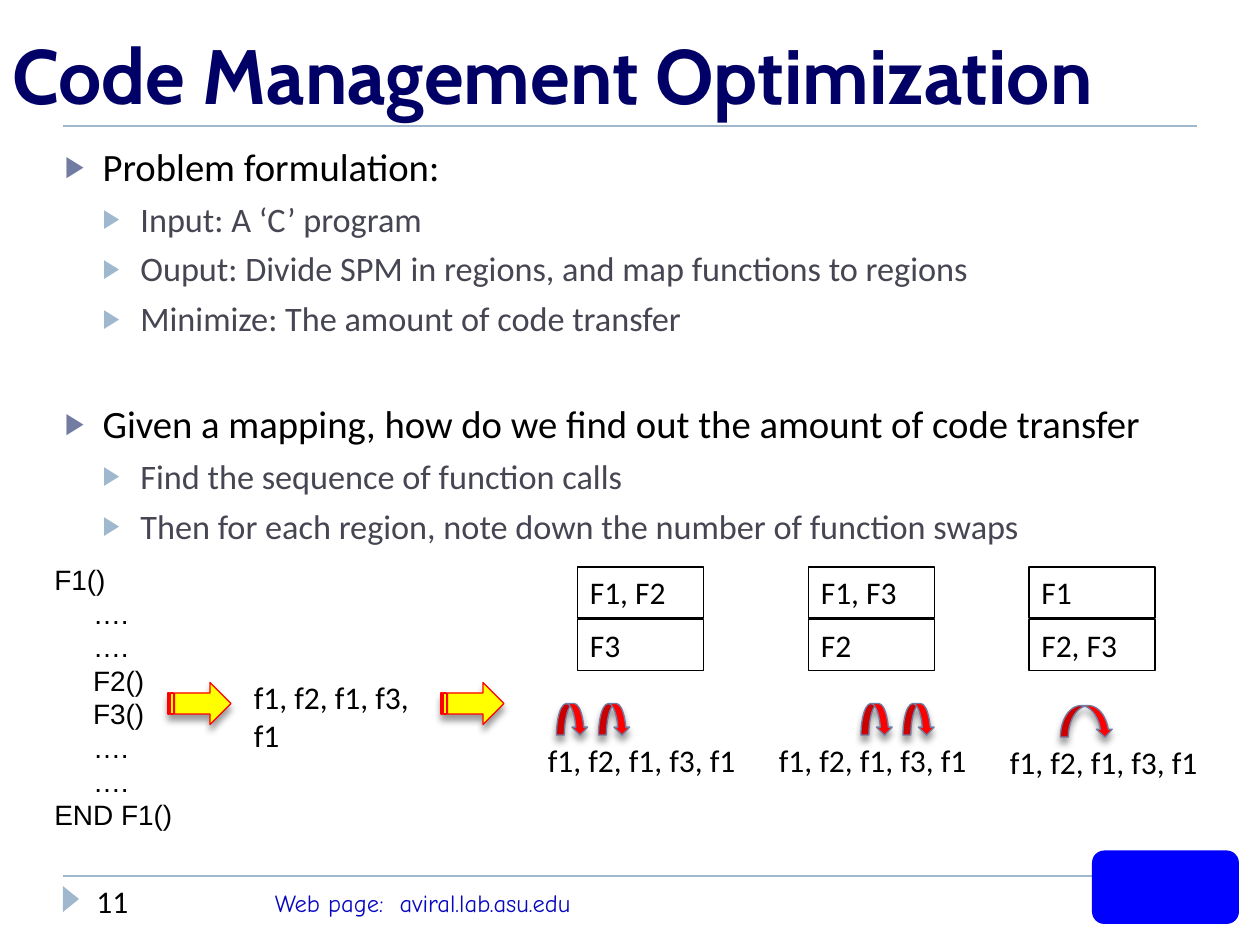
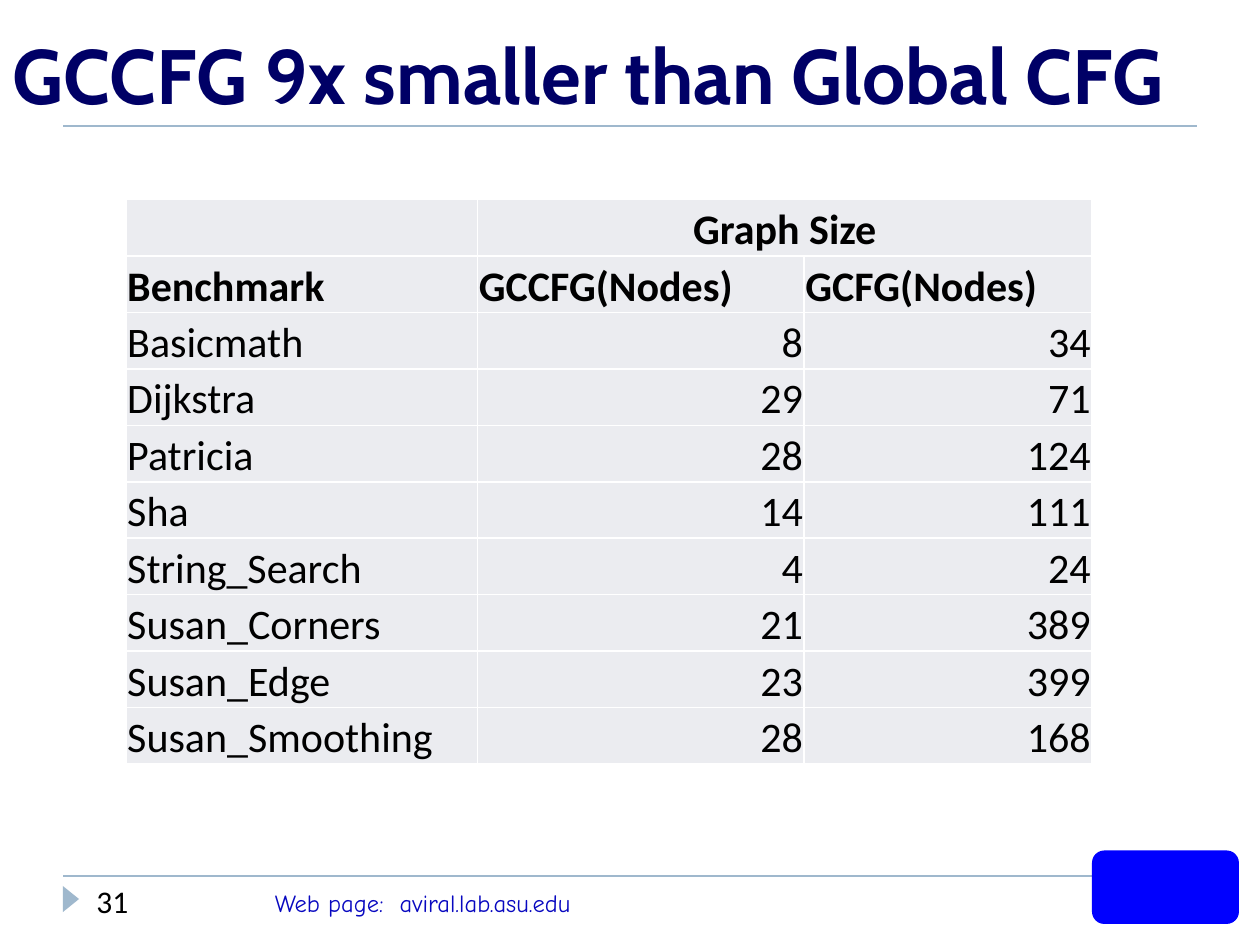
"""Build two slides on code management: the mapping problem and the graph size table."""
from lxml import etree
from pptx import Presentation
from pptx import util as u
from pptx.dml.color import RGBColor
from pptx.enum import shapes, text
from pptx.oxml import ns

NAVY = RGBColor(0x00, 0x00, 0x66)
LINK = RGBColor(0x08, 0x08, 0xC0)
BLUE = RGBColor(0x00, 0x00, 0xFF)
SKY = RGBColor(0x9F, 0xB8, 0xCD)
SLATE = RGBColor(0x72, 0x7C, 0xA3)
GREY = RGBColor(0x46, 0x46, 0x53)
PALE = RGBColor(0xEB, 0xEC, 0xF0)
BLACK = RGBColor(0, 0, 0)
WHITE = RGBColor(0xFF, 0xFF, 0xFF)
RED = RGBColor(0xFF, 0, 0)
YELLOW = RGBColor(0xFF, 0xFF, 0)

COLUMNS, ROWS = 120, 90
UNIT = u.Inches(10) / COLUMNS
LEFT, CENTER, RIGHT = text.PP_ALIGN.LEFT, text.PP_ALIGN.CENTER, text.PP_ALIGN.RIGHT

BULLETS = [
    (0, "Problem formulation:", 0),
    (1, "Input: A ‘C’ program", 5),
    (1, "Ouput: Divide SPM in regions, and map functions to regions", 5),
    (1, "Minimize: The amount of code transfer", 5),
    (0, "Given a mapping, how do we find out the amount of code transfer", 35),
    (1, "Find the sequence of function calls", 5),
    (1, "Then for each region, note down the number of function swaps", 5),
]
LEVELS = [(22.1, BLACK, SLATE), (19.6, GREY, SKY)]
CODE = ["F1()", "     ….", "     ….", "     F2()", "     F3()", "     ….", "     ….", "END F1()"]
CALLS = "f1, f2, f1, f3, f1"
MAPPINGS = [
    {"regions": ["F1, F2", "F3"], "left": 55, "calls": (51, 70), "swaps": [(53, 3), (57, 3)]},
    {"regions": ["F1, F3", "F2"], "left": 77, "calls": (73, 70), "swaps": [(82, 3), (86, 3)]},
    {"regions": ["F1", "F2, F3"], "left": 98, "calls": (95, 70.2), "swaps": [(101, 5)]},
]
STEP_ARROWS = [16, 42]
GRAPH_SIZES = [
    ("", "Graph Size", ""),
    ("Benchmark", "GCCFG(Nodes)", "GCFG(Nodes)"),
    ("Basicmath", "8", "34"),
    ("Dijkstra", "29", "71"),
    ("Patricia", "28", "124"),
    ("Sha", "14", "111"),
    ("String_Search", "4", "24"),
    ("Susan_Corners", "21", "389"),
    ("Susan_Edge", "23", "399"),
    ("Susan_Smoothing", "28", "168"),
]
GRAPH_COLUMNS = [33.5, 31.1, 27.4]
GRAPH_ROW = 5.38


def grid(*cells):
    return [u.Emu(round(c * UNIT)) for c in cells]


def child(parent, tag, **attrs):
    return etree.SubElement(parent, ns.qn(tag), {k: str(v) for k, v in attrs.items()})


def write(p, words, size, color=BLACK, font="Calibri", bold=False, align=LEFT):
    p.alignment = align
    r = p.add_run()
    r.text = words
    r.font.size, r.font.name, r.font.bold = u.Pt(size), font, bold
    r.font.color.rgb = color


def add_text(s, box, lines, size, **style):
    tf = s.shapes.add_textbox(*grid(*box)).text_frame
    tf.word_wrap = True
    for i, line in enumerate(lines):
        write(tf.paragraphs[0] if i == 0 else tf.add_paragraph(), line, size, **style)
    return tf


def add_shape(s, kind, box, fill=None, line=None, shadow=False):
    sp = s.shapes.add_shape(kind, *grid(*box))
    sp.shadow.inherit = False
    if fill is None:
        sp.fill.background()
    else:
        sp.fill.solid()
        sp.fill.fore_color.rgb = fill
    if line is None:
        sp.line.fill.background()
    else:
        sp.line.color.rgb = line
        sp.line.width = u.Pt(0.75)
    if shadow:
        effects = sp._element.spPr.find(ns.qn("a:effectLst"))
        outer = child(effects, "a:outerShdw", blurRad=u.Pt(4), dist=u.Pt(3.4), dir=5400000, rotWithShape=0)
        child(child(outer, "a:srgbClr", val=BLACK), "a:alpha", val=40000)
    return sp


def add_rule(s, left, right, top):
    rule = s.shapes.add_connector(shapes.MSO_CONNECTOR.STRAIGHT, *grid(left, top, right, top))
    rule.line.color.rgb = SKY
    rule.line.width = u.Pt(1)
    child(rule._element.spPr, "a:effectLst")


def add_slide(prs, title, number):
    s = prs.slides.add_slide(prs.slide_layouts[5])
    add_rule(s, 6, 104, 83.4)
    add_rule(s, 6, 114, 12)
    marker = add_shape(s, shapes.MSO_SHAPE.ISOSCELES_TRIANGLE, (5.5, 84.85, 2.5, 1.55), SKY)
    marker.rotation = 90
    p = add_text(s, (25, 84, 45, 4), ["Web page:\taviral.lab.asu.edu"], 14,
                 color=LINK, font="Comic Neue").paragraphs[0]
    child(child(p._p.get_or_add_pPr(), "a:tabLst"), "a:tab", pos=u.Inches(0.99), algn="l")
    add_text(s, (8, 83.4, 17, 4.8), [str(number)], 18)
    add_shape(s, shapes.MSO_SHAPE.ROUNDED_RECTANGLE, (104, 81, 14, 7), BLUE)

    sp = s.shapes.title
    sp.left, sp.top, sp.width, sp.height = grid(0, 0, COLUMNS, 12)
    tf = sp.text_frame
    tf.auto_size = text.MSO_AUTO_SIZE.NONE
    tf.vertical_anchor = text.MSO_ANCHOR.BOTTOM
    write(tf.paragraphs[0], title, 44, NAVY, "Cabin", True)
    return s


def add_bullets(s):
    tf = s.shapes.add_textbox(*grid(5, 13, 108, 37)).text_frame
    tf.word_wrap = True
    for i, (level, words, gap) in enumerate(BULLETS):
        size, color, bullet = LEVELS[level]
        p = tf.paragraphs[0] if i == 0 else tf.add_paragraph()
        p.level = level
        p.space_before = u.Pt(gap)
        pPr = p._p.get_or_add_pPr()
        pPr.set("marL", str(u.Inches(0.3 * (level + 1))))
        pPr.set("indent", str(-u.Inches(0.3)))
        child(child(pPr, "a:buClr"), "a:srgbClr", val=bullet)
        child(pPr, "a:buSzPct", val=76000)
        child(pPr, "a:buFont", typeface="Arial")
        child(pPr, "a:buChar", char="▶")
        write(p, words, size, color)


def add_mapping(s, mapping):
    for i, region in enumerate(mapping["regions"]):
        sp = add_shape(s, shapes.MSO_SHAPE.RECTANGLE, (mapping["left"], 54 + 5 * i, 12, 4.85), line=BLACK)
        sp.text_frame.vertical_anchor = text.MSO_ANCHOR.TOP
        write(sp.text_frame.paragraphs[0], region, 18)
    left, top = mapping["calls"]
    add_text(s, (left, top, 22, 4.85), [CALLS], 18)
    for start, width in mapping["swaps"]:
        add_shape(s, shapes.MSO_SHAPE.CURVED_DOWN_ARROW, (start, top - 3, width, 3), RED, SLATE, True)


def style_cell(cell):
    cell.margin_left = cell.margin_right = cell.margin_top = u.Inches(0.01)
    cell.margin_bottom = 0
    cell.vertical_anchor = text.MSO_ANCHOR.BOTTOM
    for side in "LRTB":
        edge = child(cell._tc.get_or_add_tcPr(), f"a:ln{side}", w=u.Pt(1))
        child(child(edge, "a:solidFill"), "a:srgbClr", val=WHITE)
    cell.fill.solid()
    cell.fill.fore_color.rgb = PALE


def add_graph_table(s):
    box = grid(12, 19, sum(GRAPH_COLUMNS), GRAPH_ROW * len(GRAPH_SIZES))
    table = s.shapes.add_table(len(GRAPH_SIZES), len(GRAPH_COLUMNS), *box).table
    for column, width in zip(table.columns, grid(*GRAPH_COLUMNS)):
        column.width = width
    for i, values in enumerate(GRAPH_SIZES):
        table.rows[i].height = grid(GRAPH_ROW)[0]
        for j, value in enumerate(values):
            cell = table.cell(i, j)
            style_cell(cell)
            if value:
                align = CENTER if i == 0 else RIGHT if value.isdigit() else LEFT
                write(cell.text_frame.paragraphs[0], value, 24, bold=i < 2, align=align)
    table.cell(0, 1).merge(table.cell(0, 2))


def main():
    prs = Presentation()
    prs.slide_width, prs.slide_height = grid(COLUMNS, ROWS)

    s = add_slide(prs, "Code Management Optimization", 11)
    add_bullets(s)
    add_text(s, (4, 53, 16, 27), CODE, 16, font="Arial")
    add_text(s, (23, 64, 19, 4.85), [CALLS], 18)
    for mapping in MAPPINGS:
        add_mapping(s, mapping)
    for left in STEP_ARROWS:
        add_shape(s, shapes.MSO_SHAPE.STRIPED_RIGHT_ARROW, (left, 65, 6, 4), YELLOW, RED, True)

    s = add_slide(prs, "GCCFG 9x smaller than Global CFG", 31)
    add_graph_table(s)
    prs.save("out.pptx")


if __name__ == "__main__":
    main()
